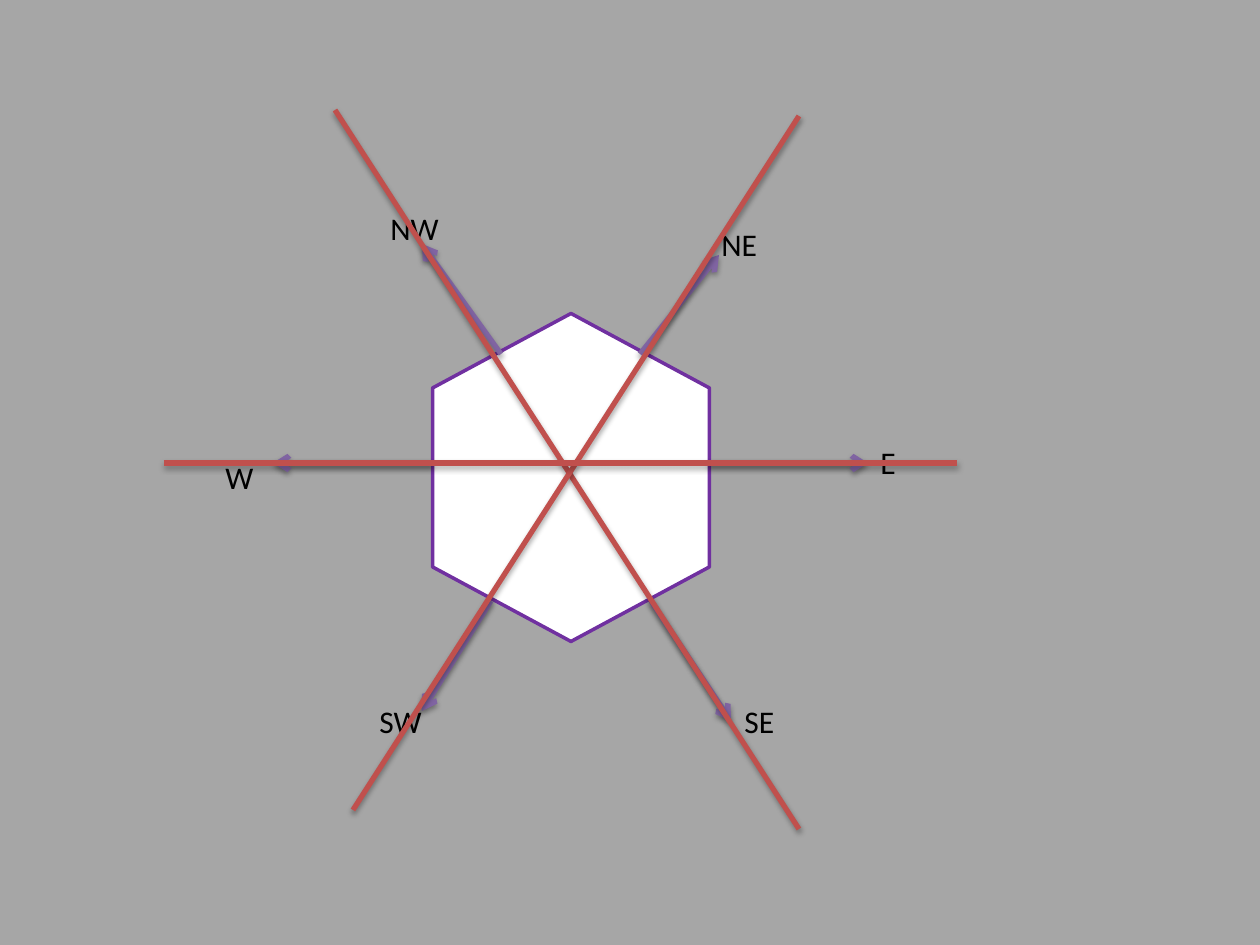
"""Draw a hexagon with six labelled compass directions and three axes."""
from lxml import etree
from pptx import Presentation
from pptx import util as u
from pptx.dml.color import RGBColor
from pptx.enum import shapes, text
from pptx.oxml import parse_xml
from pptx.oxml.ns import nsdecls, qn

SCALE = 914400 // 126
COLORS = {"back": "A6A6A6", "cell": "FFFFFF", "edge": "7030A0",
          "arrow": "8064A2", "axis": "C0504D", "text": "000000"}
HEX = (407, 339, 328, 277)
ARROWS = [
    (709, 463, 868, 463),
    (651, 601, 731, 721),
    (640, 354, 719, 255),
    (432, 463, 273, 463),
    (491, 601, 422, 711),
    (501, 354, 422, 244),
]
LABELS = [
    ("NE", 709, 219, 62), ("E", 868, 437, 40), ("SE", 732, 696, 55),
    ("SW", 367, 696, 68), ("W", 213, 452, 54), ("NW", 378, 203, 74),
]
AXES = [(335, 110, 799, 829), (799, 116, 353, 810), (164, 463, 957, 463)]
SHADOW = (
    f'<a:effectLst {nsdecls("a")}><a:outerShdw blurRad="40000" dist="23000" '
    'dir="5400000" rotWithShape="0"><a:srgbClr val="000000">'
    '<a:alpha val="35000"/></a:srgbClr></a:outerShdw></a:effectLst>')


def px(*vals):
    return [u.Emu(v * SCALE) for v in vals]


def rgb(name):
    return RGBColor.from_string(COLORS[name])


def add_line(slide, ends, color, head=False):
    line = slide.shapes.add_connector(shapes.MSO_CONNECTOR.STRAIGHT, *px(*ends))
    line.line.color.rgb = rgb(color)
    line.line.width = u.Pt(3)
    if head:
        etree.SubElement(line.line._get_or_add_ln(), qn("a:tailEnd"), type="arrow")
    line._element.spPr.append(parse_xml(SHADOW))


def add_label(slide, word, left, top, width):
    box = slide.shapes.add_textbox(*px(left, top, width, 50))
    frame = box.text_frame
    frame.word_wrap = False
    frame.auto_size = text.MSO_AUTO_SIZE.SHAPE_TO_FIT_TEXT
    run = frame.paragraphs[0].add_run()
    run.text = word
    run.font.name = "Calibri"
    run.font.size = u.Pt(18)
    run.font.color.rgb = rgb("text")


def add_cell(slide):
    cell = slide.shapes.add_shape(shapes.MSO_SHAPE.HEXAGON, *px(*HEX))
    cell.rotation = 90
    cell.adjustments[0] = 0.269
    cell.shadow.inherit = False
    cell.fill.solid()
    cell.fill.fore_color.rgb = rgb("cell")
    cell.line.color.rgb = rgb("edge")
    cell.line.width = u.Pt(2)


deck = Presentation()
deck.slide_width, deck.slide_height = px(1260, 945)
slide = deck.slides.add_slide(deck.slide_layouts[6])
slide.background.fill.solid()
slide.background.fill.fore_color.rgb = rgb("back")

add_cell(slide)
for ends in ARROWS:
    add_line(slide, ends, "arrow", head=True)
for label in LABELS:
    add_label(slide, *label)
for ends in AXES:
    add_line(slide, ends, "axis")

deck.save("out.pptx")
